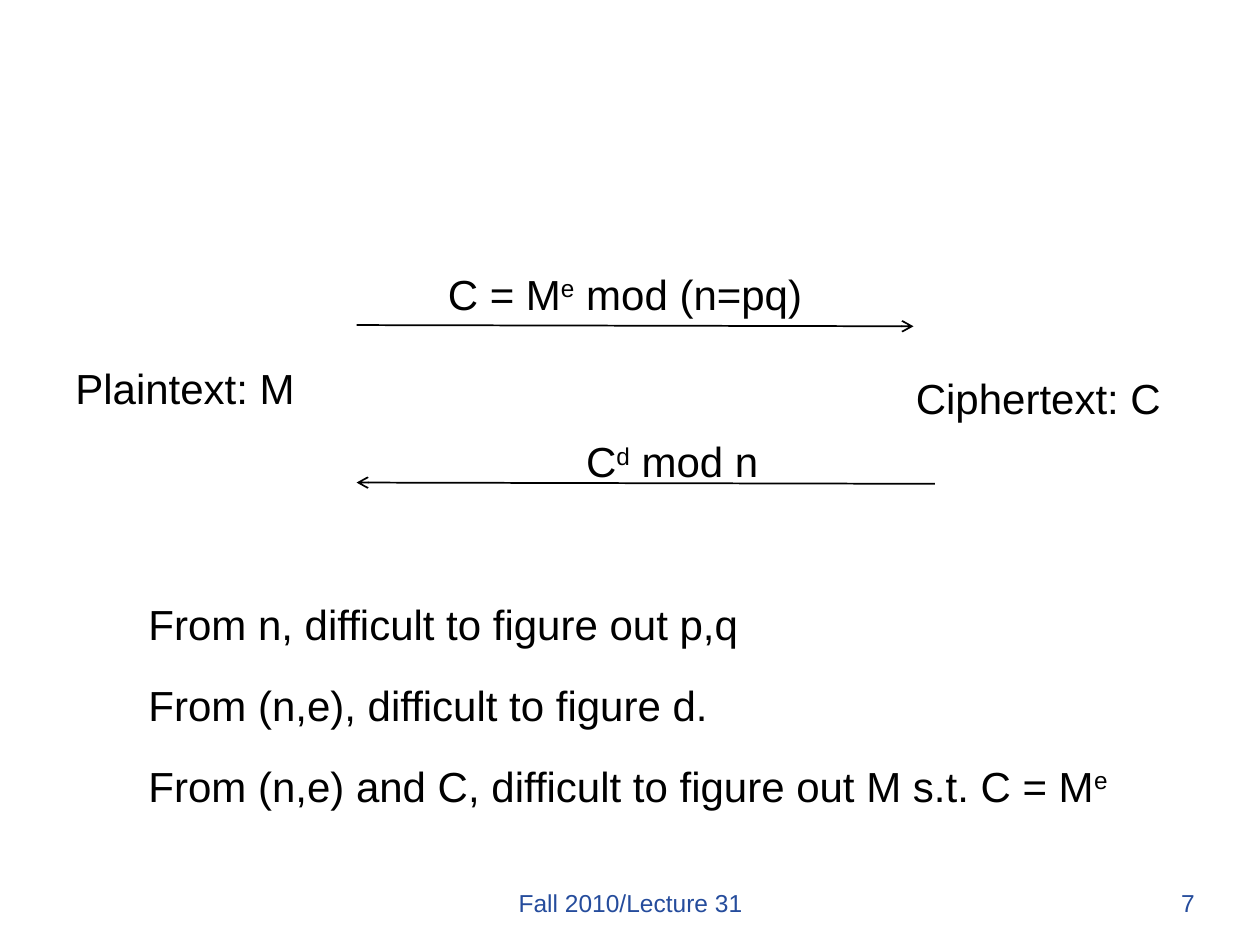
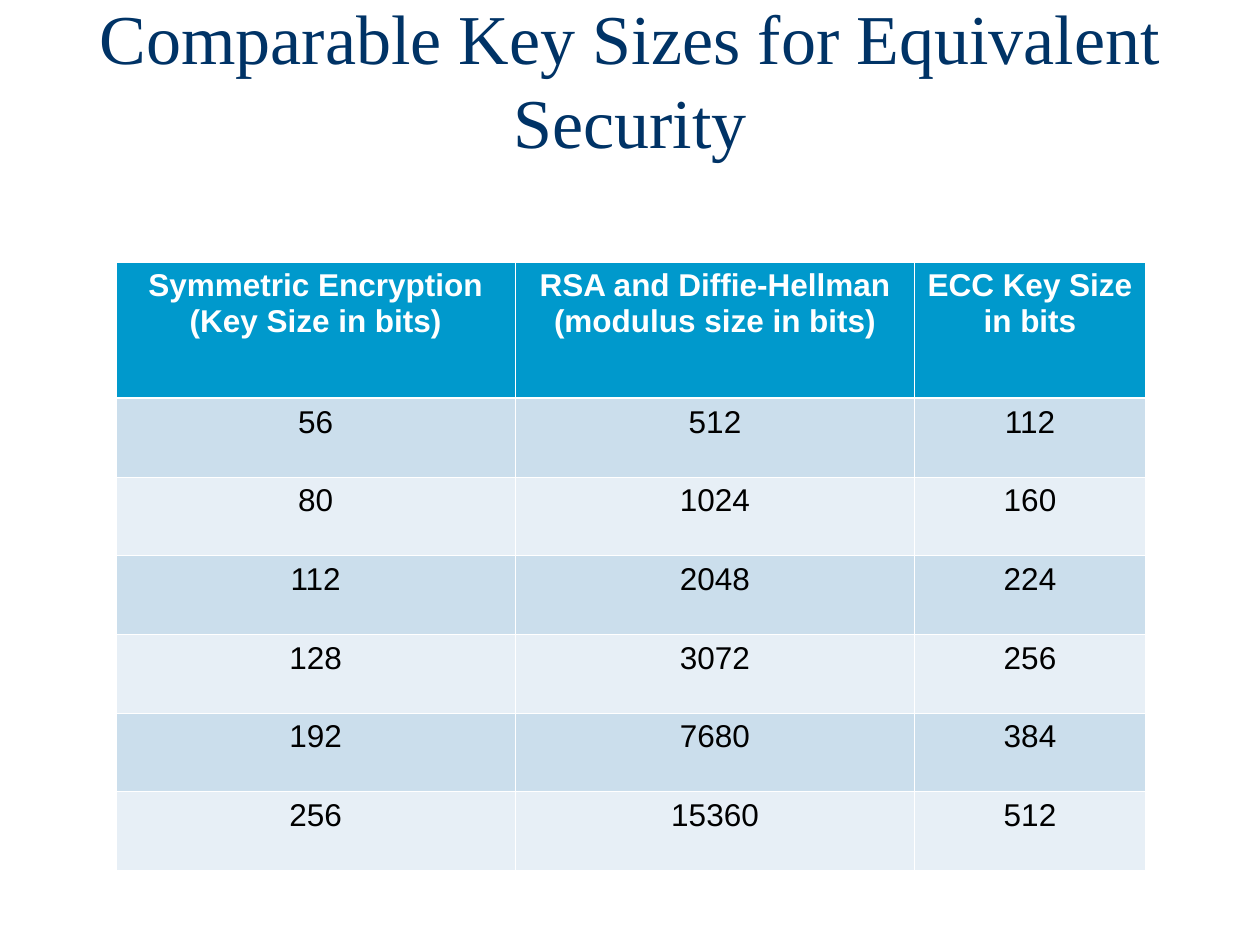
from lxml import etree
from pptx import Presentation
from pptx.dml.color import RGBColor
from pptx.enum import shapes, text
from pptx.oxml import ns
from pptx.util import Inches, Pt

BLACK = RGBColor(0x00, 0x00, 0x00)
WHITE = RGBColor(0xFF, 0xFF, 0xFF)
FOOTER_BLUE = RGBColor(0x25, 0x4C, 0x9C)
TITLE_NAVY = RGBColor(0x00, 0x33, 0x66)
HEADER_BLUE = RGBColor(0x00, 0x99, 0xCC)
BANDS = (RGBColor(0xCB, 0xDE, 0xEC), RGBColor(0xE7, 0xEF, 0xF6))

LEFT, CENTER, RIGHT = (text.PP_ALIGN.LEFT, text.PP_ALIGN.CENTER,
                       text.PP_ALIGN.RIGHT)

# Shared text formats
TITLE_FONT = {"name": "Times New Roman", "size": Pt(40), "color": TITLE_NAVY}
NOTE_FONT = {"name": "Arial", "size": Pt(24), "color": BLACK}
FOOTER_FONT = {"name": "Arial", "size": Pt(14), "color": FOOTER_BLUE}
CELL_FONT = {"name": "Arial", "size": Pt(18), "color": BLACK, "bold": False}
HEADER_FONT = {**CELL_FONT, "color": WHITE, "bold": True}
NOTE_SPACING = {"line_spacing": 1.4, "space_before": Pt(6)}

THIN, THICK = Pt(0.45), Pt(1.47)

KEY_SIZES = [
    ("Symmetric Encryption (Key Size in bits)",
     "RSA and Diffie-Hellman (modulus size in bits)",
     "ECC Key Size in bits"),
    (56, 512, 112),
    (80, 1024, 160),
    (112, 2048, 224),
    (128, 3072, 256),
    (192, 7680, 384),
    (256, 15360, 512),
]


def format_font(font, values):
    for key, value in values.items():
        if key == "color":
            font.color.rgb = value
        else:
            setattr(font, key, value)


def write(paragraph, words, font, **layout):
    """Fill a paragraph; words between ^ marks are superscript."""
    for key, value in layout.items():
        setattr(paragraph, key, value)
    for i, part in enumerate(words.split("^")):
        if part:
            run = paragraph.add_run()
            run.text = part
            format_font(run.font, font)
            if i % 2:
                run._r.get_or_add_rPr().set("baseline", "30000")


def add_text(slide, box, lines, font, **layout):
    frame = slide.shapes.add_textbox(*map(Inches, box)).text_frame
    frame.word_wrap = True
    for i, line in enumerate(lines):
        paragraph = frame.add_paragraph() if i else frame.paragraphs[0]
        write(paragraph, line, font, **layout)


def add_note(slide, box, *lines, alignment=LEFT):
    add_text(slide, box, lines, NOTE_FONT, alignment=alignment, **NOTE_SPACING)


def add_arrow(slide, start, end):
    arrow = slide.shapes.add_connector(
        shapes.MSO_CONNECTOR.STRAIGHT, *map(Inches, start + end))
    arrow.line.color.rgb = BLACK
    arrow.line.width = Pt(1)
    etree.SubElement(arrow.line._get_or_add_ln(), ns.qn("a:tailEnd"),
                     type="arrow")
    etree.SubElement(arrow._element.spPr, ns.qn("a:effectLst"))


def add_footer(slide, number):
    add_text(slide, (3.42, 7, 3.17, 0.5), ["Fall 2010/Lecture 31"],
             FOOTER_FONT, alignment=CENTER)
    add_text(slide, (7.5, 7, 2.08, 0.5), [str(number)],
             FOOTER_FONT, alignment=RIGHT)


def set_title(slide, words):
    title = slide.shapes.title
    title.left, title.top, title.width, title.height = map(
        Inches, (0.5, 0, 9, 1.25))
    frame = title.text_frame
    frame.auto_size = text.MSO_AUTO_SIZE.NONE
    frame.vertical_anchor = text.MSO_ANCHOR.MIDDLE
    write(frame.paragraphs[0], words, TITLE_FONT, alignment=CENTER)


def set_borders(cell, **widths):
    for side in "LRTB":
        border = etree.SubElement(
            cell._tc.get_or_add_tcPr(), ns.qn(f"a:ln{side}"),
            w=str(widths.get(side, THIN)))
        fill = etree.SubElement(border, ns.qn("a:solidFill"))
        etree.SubElement(fill, ns.qn("a:srgbClr"), val=str(WHITE))


def add_key_table(slide, rows, box, column_widths, header_height):
    table = slide.shapes.add_table(
        len(rows), len(column_widths), *map(Inches, box)).table
    for column, width in zip(table.columns, column_widths):
        column.width = Inches(width)
    body_height = (box[3] - header_height) / (len(rows) - 1)
    for r, values in enumerate(rows):
        table.rows[r].height = Inches(body_height if r else header_height)
        # A thicker rule parts the header from the body
        rule = {0: {"B": THICK}, 1: {"T": THICK}}.get(r, {})
        for c, value in enumerate(values):
            cell = table.cell(r, c)
            set_borders(cell, **rule)
            cell.fill.solid()
            cell.fill.fore_color.rgb = BANDS[(r - 1) % 2] if r else HEADER_BLUE
            write(cell.text_frame.paragraphs[0], str(value),
                  CELL_FONT if r else HEADER_FONT, alignment=CENTER)


def build_rsa_slide(deck):
    slide = deck.slides.add_slide(deck.slide_layouts[6])
    add_footer(slide, 7)

    # Encryption to the right, decryption back to the left
    add_note(slide, (0.5, 2.67, 2.17, 0.66), "Plaintext: M")
    add_arrow(slide, (2.83, 2.58), (7.25, 2.59))
    add_note(slide, (2.92, 1.92, 4.08, 0.66), "C = M^e^ mod (n=pq)",
             alignment=CENTER)
    add_note(slide, (7.17, 2.75, 2.5, 0.66), "Ciphertext: C")
    add_arrow(slide, (7.42, 3.84), (2.83, 3.83))
    add_note(slide, (3.5, 3.25, 3.67, 0.66), "C^d^ mod n", alignment=CENTER)

    # Hardness assumptions
    add_note(slide, (1.08, 4.54, 8.17, 1.95),
             "From n, difficult to figure out p,q",
             "From (n,e), difficult to figure d.",
             "From (n,e) and C, difficult to figure out M s.t. C = M^e^")


def build_key_size_slide(deck):
    slide = deck.slides.add_slide(deck.slide_layouts[5])
    set_title(slide, "Comparable Key Sizes for Equivalent Security")
    add_key_table(slide, KEY_SIZES, (0.92, 2.08, 8.17, 4.83),
                  (3.17, 3.17, 1.83), header_height=1.08)


def main():
    deck = Presentation()
    deck.slide_width, deck.slide_height = Inches(10), Inches(7.5)
    build_rsa_slide(deck)
    build_key_size_slide(deck)
    deck.save("out.pptx")


if __name__ == "__main__":
    main()
